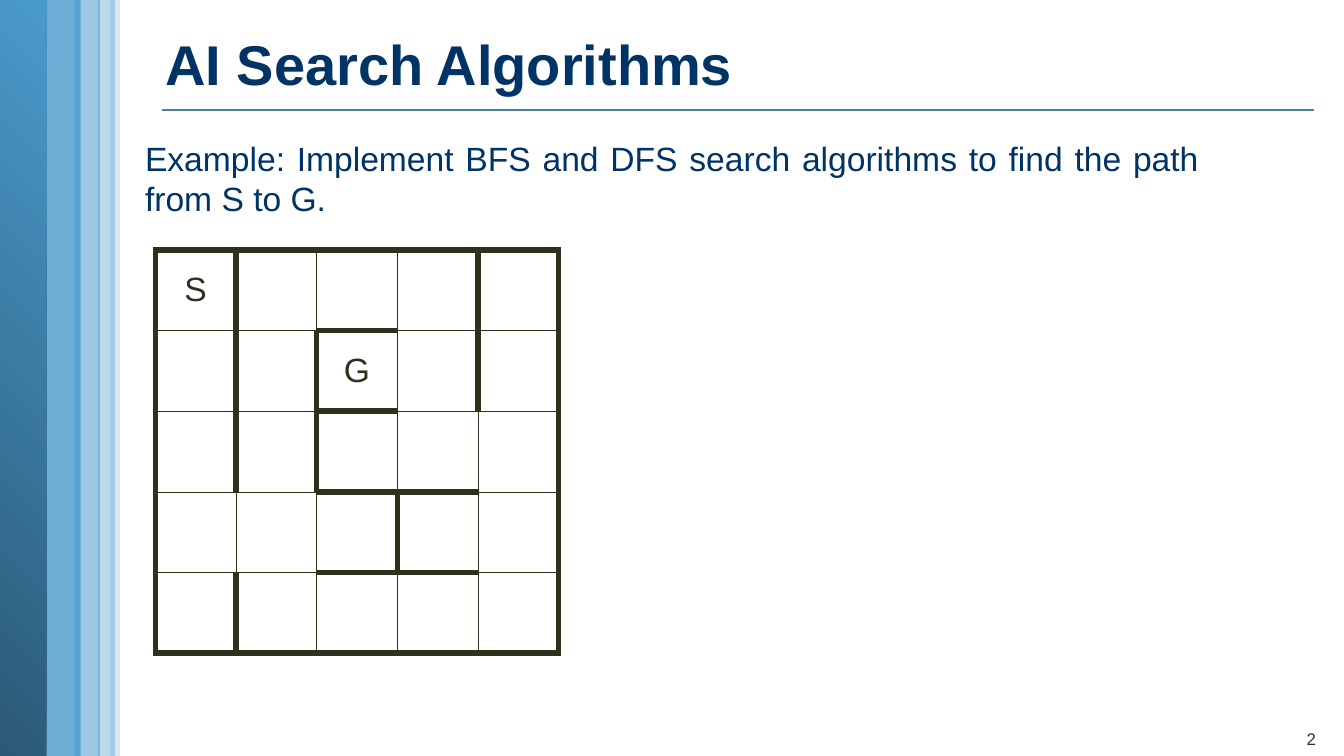
from dataclasses import dataclass

from lxml import etree
from pptx import Presentation
from pptx.dml.color import RGBColor
from pptx.enum.shapes import MSO_CONNECTOR, MSO_SHAPE
from pptx.enum.text import MSO_ANCHOR, MSO_AUTO_SIZE, PP_ALIGN
from pptx.oxml.ns import qn
from pptx.shapes.autoshape import Shape
from pptx.slide import Slide
from pptx.table import _Cell
from pptx.text.text import TextFrame
from pptx.util import Inches, Pt

RECTANGLE = MSO_SHAPE.RECTANGLE
STRAIGHT = MSO_CONNECTOR.STRAIGHT
MIDDLE = MSO_ANCHOR.MIDDLE
TOP = MSO_ANCHOR.TOP
LEFT, CENTER = PP_ALIGN.LEFT, PP_ALIGN.CENTER
RIGHT, JUSTIFY = PP_ALIGN.RIGHT, PP_ALIGN.JUSTIFY
NO_AUTO_SIZE = MSO_AUTO_SIZE.NONE

FONT = "Arial"
COLORS = {
    "navy": "003366",
    "ink": "30311D",
    "rule": "4582A7",
    "sky": "4A9ACC",
    "deep": "2B5976",
}

# The slide is a fine grid of 1333 columns by 750 rows.
GRID_COLUMNS, GRID_ROWS = 1333, 750
UNIT = Inches(0.01)

MAZE_SIZE = 5
MAZE_CELL = 80
WALL, THIN = 4.5, 0.5
MAZE_LABELS = {(0, 0): "S", (1, 2): "G"}
# For each maze row, the columns with a wall on their right side.
WALLS_RIGHT = [{0, 3, 4}, {0, 1, 3, 4}, {0, 1, 4}, {2, 4}, {0, 4}]
# For each maze row, the columns with a wall below them.
WALLS_BELOW = [{2}, {2}, {2, 3}, {2, 3}, set(range(MAZE_SIZE))]


@dataclass(frozen=True)
class Box:
    column: int
    row: int
    columns: int
    rows: int

    def lengths(self) -> tuple[int, int, int, int]:
        return (self.column * UNIT, self.row * UNIT,
                self.columns * UNIT, self.rows * UNIT)


@dataclass(frozen=True)
class Stripe:
    box: Box
    opacity: int = 100
    shaded: bool = False


@dataclass(frozen=True)
class TextStyle:
    size: int
    color: str
    align: PP_ALIGN
    anchor: MSO_ANCHOR = TOP
    bold: bool = False


STRIPES = [
    Stripe(Box(39, 0, 41, 753), opacity=80),
    Stripe(Box(-2, 0, 48, 750), shaded=True),
    Stripe(Box(109, -2, 10, 752), opacity=20),
    Stripe(Box(74, 0, 25, 751), opacity=54),
    Stripe(Box(97, 0, 17, 752), opacity=37),
]
TITLE_STYLE = TextStyle(40, "navy", LEFT, MIDDLE, bold=True)
TASK_STYLE = TextStyle(24, "navy", JUSTIFY)
NUMBER_STYLE = TextStyle(12, "ink", RIGHT)
LABEL_STYLE = TextStyle(24, "ink", CENTER, MIDDLE)


def rgb(name: str) -> RGBColor:
    return RGBColor.from_string(COLORS[name])


def write(frame: TextFrame, text: str, style: TextStyle) -> None:
    frame.text = text
    paragraph = frame.paragraphs[0]
    paragraph.alignment = style.align
    font = paragraph.runs[0].font
    font.name, font.size, font.bold = FONT, Pt(style.size), style.bold
    font.color.rgb = rgb(style.color)


def add_rule(slide: Slide, start: int, end: int, row: int) -> None:
    rule = slide.shapes.add_connector(
        STRAIGHT, start * UNIT, row * UNIT, end * UNIT, row * UNIT)
    rule.line.color.rgb = rgb("rule")
    rule.line.width = Pt(1)
    etree.SubElement(rule.element.spPr, qn("a:effectLst"))


def shade(shape: Shape) -> None:
    """Fill with a gradient from dark at the bottom to light at the top."""
    shape.fill.gradient()
    shape.fill.gradient_angle = 45
    for stop, position, color in zip(
            shape.fill.gradient_stops, (0, 1), ("deep", "sky")):
        stop.position = position
        stop.color.rgb = rgb(color)


def add_stripe(slide: Slide, stripe: Stripe) -> None:
    shape = slide.shapes.add_shape(RECTANGLE, *stripe.box.lengths())
    shape.shadow.inherit = False
    shape.line.fill.background()
    if stripe.shaded:
        shade(shape)
        return
    shape.fill.solid()
    shape.fill.fore_color.rgb = rgb("sky")
    color = shape.element.spPr.find(qn("a:solidFill"))[0]
    etree.SubElement(color, qn("a:alpha"), val=str(stripe.opacity * 1000))


def add_title(slide: Slide, text: str, box: Box) -> None:
    title = slide.shapes.title
    title.left, title.top, title.width, title.height = box.lengths()
    title.text_frame.auto_size = NO_AUTO_SIZE
    title.text_frame.vertical_anchor = TITLE_STYLE.anchor
    write(title.text_frame, text, TITLE_STYLE)


def add_text(slide: Slide, text: str, box: Box, style: TextStyle) -> None:
    frame = slide.shapes.add_textbox(*box.lengths()).text_frame
    frame.word_wrap = True
    frame.vertical_anchor = style.anchor
    write(frame, text, style)


def add_border(cell: _Cell, side: str, walled: bool) -> None:
    width = Pt(WALL if walled else THIN)
    properties = cell._tc.get_or_add_tcPr()
    line = etree.SubElement(properties, qn(f"a:ln{side}"), w=str(width))
    fill = etree.SubElement(line, qn("a:solidFill"))
    etree.SubElement(fill, qn("a:srgbClr"), val=COLORS["ink"])


def add_maze(slide: Slide, column: int, row: int) -> None:
    side = MAZE_SIZE * MAZE_CELL
    box = Box(column, row, side, side)
    table = slide.shapes.add_table(MAZE_SIZE, MAZE_SIZE, *box.lengths()).table
    table.first_row = table.horz_banding = False
    for y in range(MAZE_SIZE):
        for x in range(MAZE_SIZE):
            cell = table.cell(y, x)
            add_border(cell, "L", x == 0 or x - 1 in WALLS_RIGHT[y])
            add_border(cell, "R", x in WALLS_RIGHT[y])
            add_border(cell, "T", y == 0 or x in WALLS_BELOW[y - 1])
            add_border(cell, "B", x in WALLS_BELOW[y])
            cell.fill.background()
            if (y, x) in MAZE_LABELS:
                cell.vertical_anchor = LABEL_STYLE.anchor
                write(cell.text_frame, MAZE_LABELS[y, x], LABEL_STYLE)


def main() -> None:
    presentation = Presentation()
    presentation.slide_width = GRID_COLUMNS * UNIT
    presentation.slide_height = GRID_ROWS * UNIT
    title_only = presentation.slide_layouts.get_by_name("Title Only")
    slide = presentation.slides.add_slide(title_only)

    add_rule(slide, 161, 1303, 109)
    for stripe in STRIPES:
        add_stripe(slide, stripe)
    add_title(slide, "AI Search Algorithms", Box(154, 7, 1160, 111))
    add_text(slide, "2", Box(1218, 718, 97, 26), NUMBER_STYLE)
    add_maze(slide, 154, 248)
    add_text(
        slide,
        "Example: Implement BFS and DFS search algorithms "
        "to find the path from S to G.",
        Box(134, 132, 1065, 91), TASK_STYLE)
    presentation.save("out.pptx")


if __name__ == "__main__":
    main()
